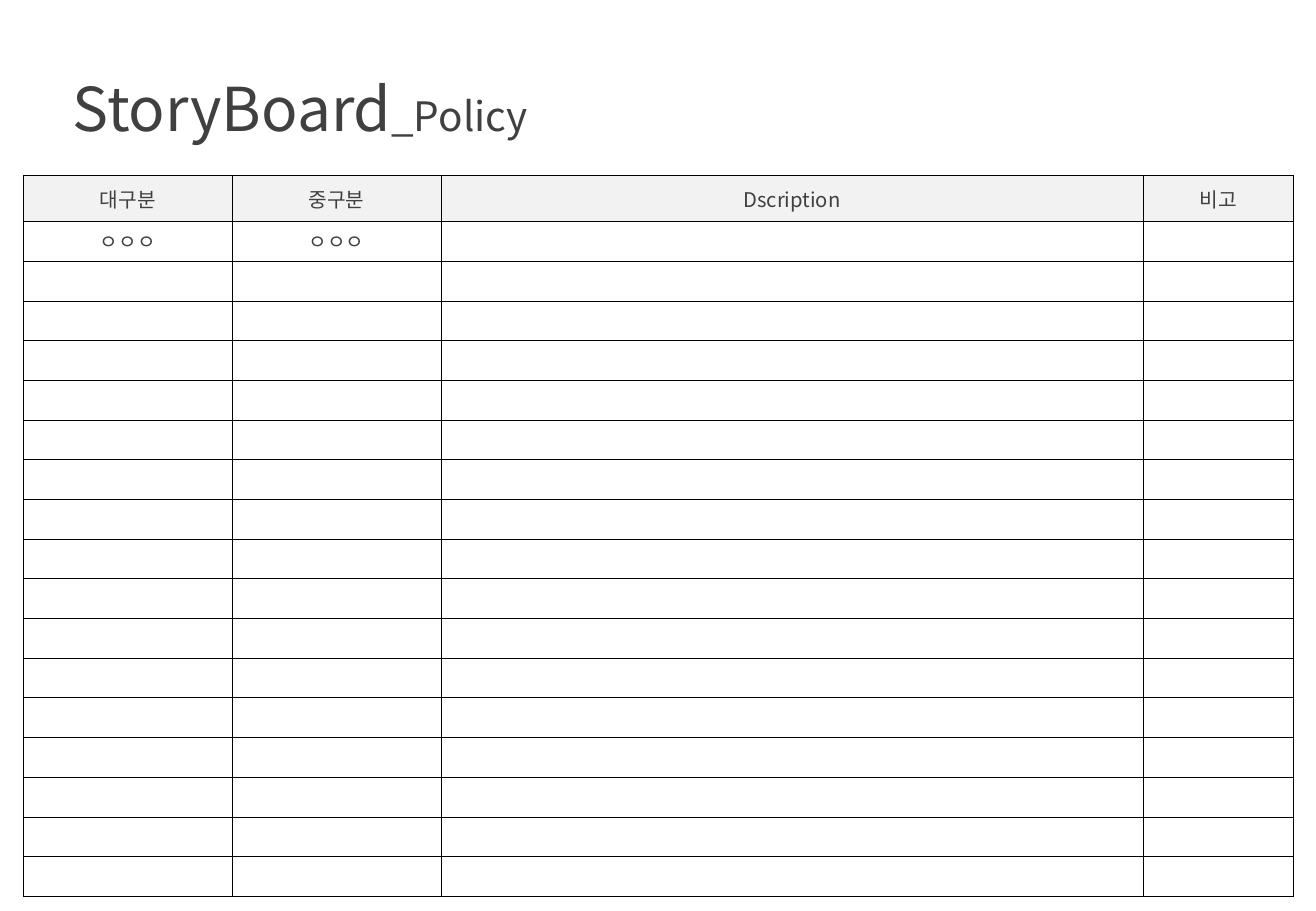
from dataclasses import dataclass

import lxml.etree
import pptx
import pptx.dml.color
import pptx.enum.text
import pptx.oxml.ns
import pptx.util

Pt = pptx.util.Pt
qn = pptx.oxml.ns.qn


@dataclass(frozen=True)
class Theme:
    font: str = "Noto Sans CJK KR"
    text: str = "404040"
    header_fill: str = "F2F2F2"
    border: str = "000000"
    border_width: float = 0.25
    title_size: float = 35.8
    subtitle_size: float = 24
    body_size: float = 12


THEME = Theme()
COLUMN_WIDTHS = (123.7, 123.7, 416.4, 89.1)
HEADER_HEIGHT = 27.2
ROW_HEIGHT = 23.53
ROW_COUNT = 18
CELL_TEXTS = (
    ("대구분", "중구분", "Dscription", "비고"),
    ("ㅇㅇㅇ", "ㅇㅇㅇ"),
)


def add_text(paragraph, text, size=THEME.body_size, color=THEME.text, align=None):
    paragraph.alignment = align
    run = paragraph.add_run()
    run.text = text
    run.font.size = Pt(size)
    run.font.name = THEME.font
    run.font.color.rgb = pptx.dml.color.RGBColor.from_string(color)
    east_asian = lxml.etree.SubElement(run.font._element, qn("a:ea"))
    east_asian.set("typeface", THEME.font)


def set_empty_size(paragraph, size):
    """Keep an empty cell from growing past its row height."""
    end_properties = lxml.etree.SubElement(paragraph._p, qn("a:endParaRPr"))
    end_properties.set("sz", str(int(size * 100)))


def set_borders(cell):
    properties = cell._tc.get_or_add_tcPr()
    for position, side in enumerate(("lnL", "lnR", "lnT", "lnB")):
        line = lxml.etree.Element(qn(f"a:{side}"), w=str(Pt(THEME.border_width)))
        fill = lxml.etree.SubElement(line, qn("a:solidFill"))
        lxml.etree.SubElement(fill, qn("a:srgbClr"), val=THEME.border)
        properties.insert(position, line)


def add_title(slide, left, top, width, height):
    frame = slide.shapes.add_textbox(Pt(left), Pt(top), Pt(width), Pt(height)).text_frame
    frame.word_wrap = False
    frame.auto_size = pptx.enum.text.MSO_AUTO_SIZE.SHAPE_TO_FIT_TEXT
    paragraph = frame.paragraphs[0]
    add_text(paragraph, "StoryBoard", size=THEME.title_size)
    add_text(paragraph, "_Policy", size=THEME.subtitle_size)


def format_cell(cell, text, is_header):
    cell.vertical_anchor = pptx.enum.text.MSO_ANCHOR.MIDDLE
    cell.margin_left = cell.margin_right = Pt(5.76)
    cell.margin_top = cell.margin_bottom = Pt(2.88)
    if is_header:
        cell.fill.solid()
        cell.fill.fore_color.rgb = pptx.dml.color.RGBColor.from_string(THEME.header_fill)
    else:
        cell.fill.background()
    set_borders(cell)
    paragraph = cell.text_frame.paragraphs[0]
    if text:
        add_text(paragraph, text, align=pptx.enum.text.PP_ALIGN.CENTER)
    else:
        set_empty_size(paragraph, THEME.body_size)


def add_policy_table(slide, left, top):
    height = HEADER_HEIGHT + ROW_HEIGHT * (ROW_COUNT - 1)
    table = slide.shapes.add_table(
        ROW_COUNT, len(COLUMN_WIDTHS),
        Pt(left), Pt(top), Pt(sum(COLUMN_WIDTHS)), Pt(height),
    ).table
    table.first_row = False
    table.horz_banding = False
    for column, width in zip(table.columns, COLUMN_WIDTHS):
        column.width = Pt(width)
    for row_index, row in enumerate(table.rows):
        is_header = row_index == 0
        row.height = Pt(HEADER_HEIGHT if is_header else ROW_HEIGHT)
        texts = CELL_TEXTS[row_index] if row_index < len(CELL_TEXTS) else ()
        for column_index, cell in enumerate(row.cells):
            text = texts[column_index] if column_index < len(texts) else ""
            format_cell(cell, text, is_header)


def main():
    presentation = pptx.Presentation()
    presentation.slide_width = Pt(780)
    presentation.slide_height = Pt(540)
    slide = presentation.slides.add_slide(presentation.slide_layouts[6])
    add_title(slide, left=36, top=38.9, width=298, height=50.4)
    add_policy_table(slide, left=13.9, top=104)
    presentation.save("out.pptx")


if __name__ == "__main__":
    main()
